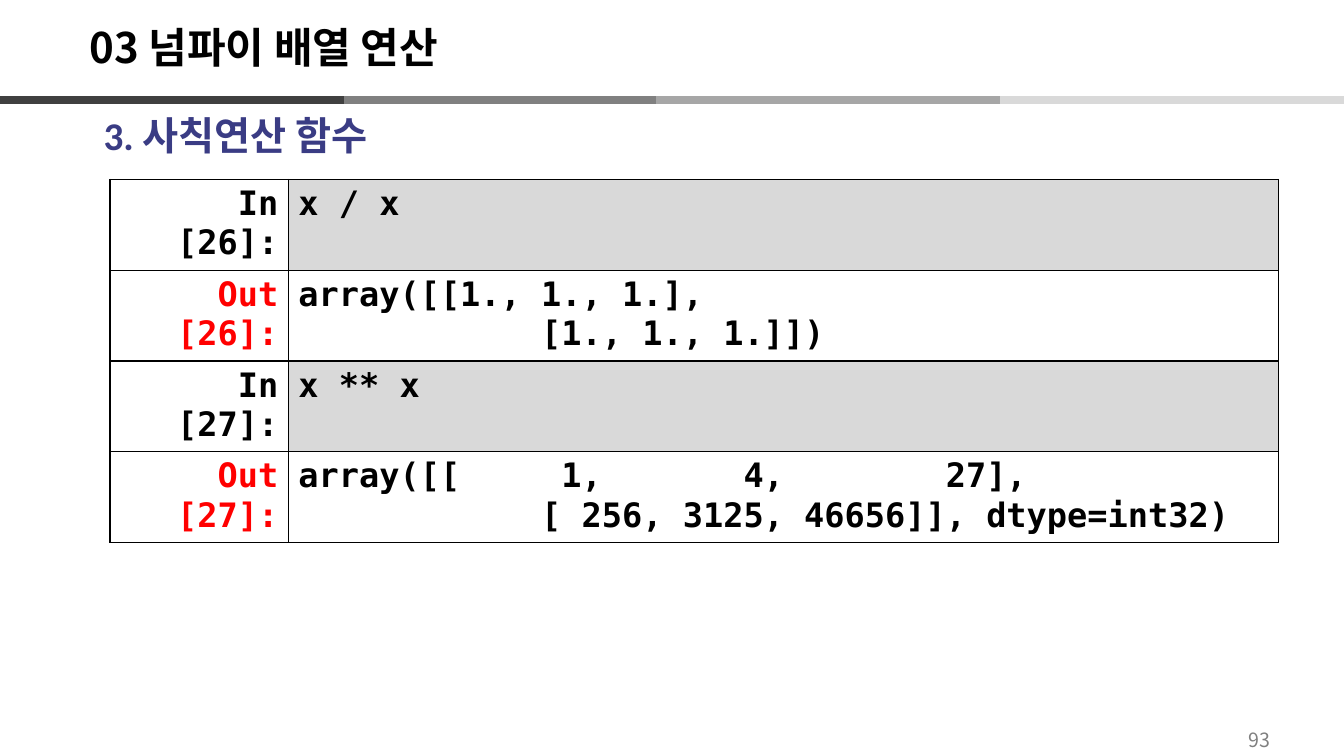
from lxml.etree import SubElement
from pptx import Presentation
from pptx.dml.color import RGBColor
from pptx.enum.shapes import MSO_CONNECTOR
from pptx.enum.text import MSO_ANCHOR, PP_ALIGN
from pptx.oxml.ns import qn
from pptx.util import Inches, Pt

SLIDE_W, SLIDE_H = 13.33, 7.5
KOREAN, LATIN, MONO = "Noto Sans CJK KR", "Calibri", "DejaVu Sans Mono"
BLACK, RED, NAVY, GREY, CODE_FILL = "000000", "FF0000", "3A3C84", "808080", "D9D9D9"

CELLS = [
    ("In [26]:", ["x / x"]),
    ("Out [26]:", ["array([[1., 1., 1.],",
                   "            [1., 1., 1.]])"]),
    ("In [27]:", ["x ** x"]),
    ("Out [27]:", ["array([[     1,       4,        27],",
                   "            [ 256, 3125, 46656]], dtype=int32)"]),
]


def color(hex_code):
    return RGBColor.from_string(hex_code)


def write(frame, lines, size, face, hex_code, bold=True, align=PP_ALIGN.LEFT):
    for i, line in enumerate(lines):
        paragraph = frame.paragraphs[0] if i == 0 else frame.add_paragraph()
        run = paragraph.add_run()
        run.text = line
        paragraph.alignment = align
        font = paragraph.font
        font.size, font.name, font.bold = Pt(size), face, bold
        font.color.rgb = color(hex_code)
        if face != MONO:
            SubElement(run._r.get_or_add_rPr(), qn("a:ea"), typeface=KOREAN)


def add_label(slide, box, text, size, face, hex_code, anchor=MSO_ANCHOR.MIDDLE, **style):
    frame = slide.shapes.add_textbox(*map(Inches, box)).text_frame
    frame.word_wrap = True
    frame.vertical_anchor = anchor
    write(frame, [text], size, face, hex_code, **style)
    return frame.paragraphs[0]


def add_header_rule(slide, y):
    """Four grey bands; the first is drawn last, over the start of the second."""
    band = 3.41
    starts = [(band - 0.31, "808080"), (2 * band - 0.31, "A6A6A6"),
              (3 * band - 0.31, "D9D9D9"), (0, "404040")]
    for left, shade in starts:
        rule = slide.shapes.add_connector(
            MSO_CONNECTOR.STRAIGHT, Inches(left), Inches(y), Inches(left + band), Inches(y))
        rule.line.color.rgb = color(shade)
        rule.line.width = Pt(6)
        SubElement(rule._element.spPr, qn("a:effectLst"))


def add_borders(cell):
    properties = cell._tc.get_or_add_tcPr()
    for position, side in enumerate(("lnL", "lnR", "lnT", "lnB")):
        border = SubElement(properties, qn(f"a:{side}"), w=str(Pt(1)))
        fill = SubElement(border, qn("a:solidFill"))
        SubElement(fill, qn("a:srgbClr"), val=BLACK)
        properties.insert(position, border)


def add_notebook(slide, box):
    """Prompt column at the left, code or result at the right."""
    left, top, width, height = map(Inches, box)
    table = slide.shapes.add_table(len(CELLS), 2, left, top, width, height).table
    table.first_row = table.horz_banding = False
    table.columns[0].width = Inches(1.77)
    table.columns[1].width = width - Inches(1.77)
    for row, (prompt, code) in enumerate(CELLS):
        is_input = prompt.startswith("In")
        prompt_cell, code_cell = table.cell(row, 0), table.cell(row, 1)
        write(prompt_cell.text_frame, [prompt], 24, MONO,
              BLACK if is_input else RED, align=PP_ALIGN.RIGHT)
        write(code_cell.text_frame, code, 24, MONO, BLACK)
        for cell in (prompt_cell, code_cell):
            if is_input and cell is code_cell:
                cell.fill.solid()
                cell.fill.fore_color.rgb = color(CODE_FILL)
            else:
                cell.fill.background()
            add_borders(cell)


def main():
    deck = Presentation()
    deck.slide_width, deck.slide_height = Inches(SLIDE_W), Inches(SLIDE_H)
    slide = deck.slides.add_slide(deck.slide_layouts[6])

    # Header and page number
    add_header_rule(slide, 0.99)
    add_label(slide, (12.02, 7.14, 0.94, 0.39), "93", 14, KOREAN, GREY,
              bold=False, align=PP_ALIGN.CENTER)
    title = add_label(slide, (0.79, 0.2, 9.97, 0.6), "03 넘파이 배열 연산", 30, KOREAN, BLACK)
    title.line_spacing = 0.9

    # Section heading and notebook cells
    add_label(slide, (0.93, 1.06, 12.11, 0.7), "3. 사칙연산 함수", 28, LATIN, NAVY,
              anchor=MSO_ANCHOR.TOP)
    add_notebook(slide, (1.09, 1.78, 11.59, 3.5))

    deck.save("out.pptx")


if __name__ == "__main__":
    main()
